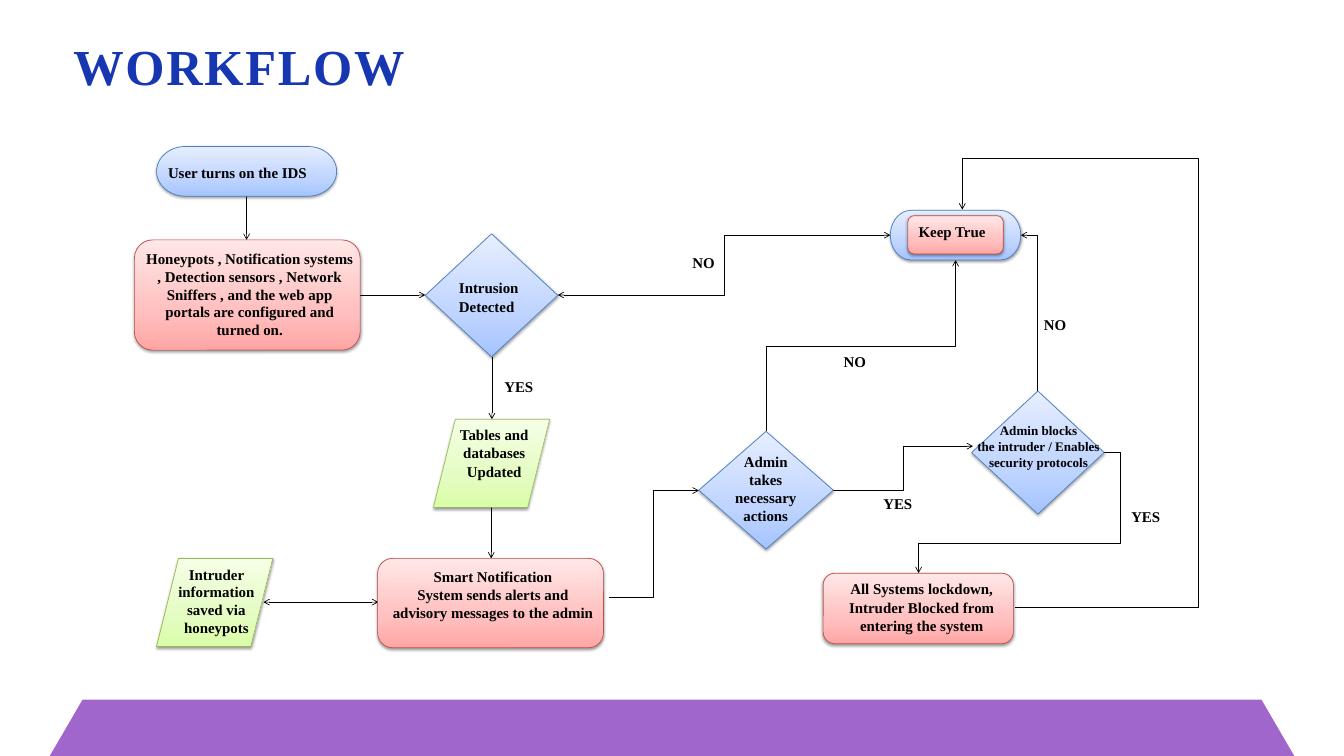
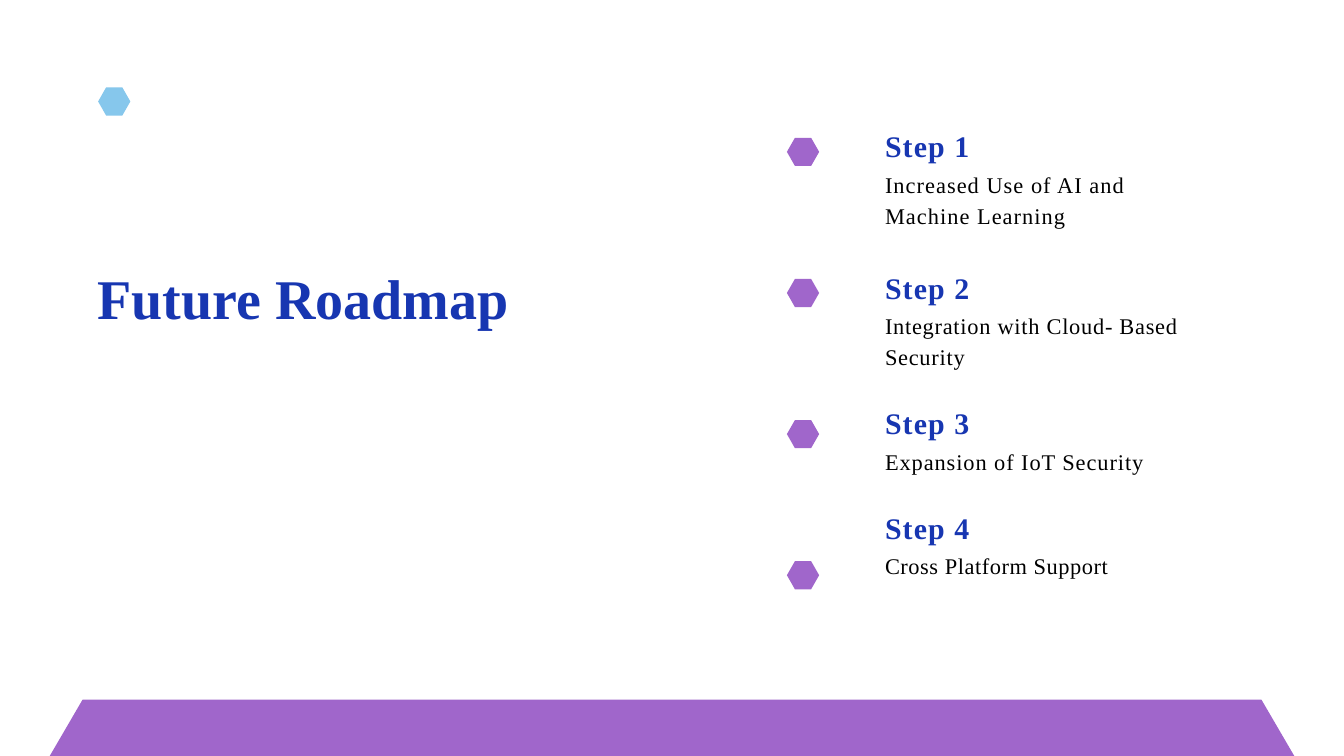
from copy import deepcopy

from lxml import etree
from pptx import Presentation
from pptx.dml.color import RGBColor
from pptx.enum.shapes import MSO_CONNECTOR, MSO_SHAPE
from pptx.enum.text import MSO_ANCHOR, MSO_AUTO_SIZE, PP_ALIGN
from pptx.oxml.ns import qn
from pptx.util import Inches, Pt

TERMINATOR = MSO_SHAPE.FLOWCHART_TERMINATOR
ROUNDED = MSO_SHAPE.ROUNDED_RECTANGLE
DIAMOND = MSO_SHAPE.DIAMOND
PARALLELOGRAM = MSO_SHAPE.PARALLELOGRAM
CENTER, JUSTIFY, LEFT = PP_ALIGN.CENTER, PP_ALIGN.JUSTIFY, PP_ALIGN.LEFT

FONT = "Times New Roman"
BLUE, PURPLE, SKY, BLACK = "1736B1", "A066CB", "86C7EC", "000000"
rgb = RGBColor.from_string


def add_run(paragraph, text, size, color=BLACK, bold=True, spacing=0):
    run = paragraph.add_run()
    run.text = text
    run.font.name = FONT
    run.font.size = Pt(size)
    run.font.bold = bold
    run.font.color.rgb = rgb(color)
    if spacing:
        run.font._element.set("spc", str(round(spacing * 100)))


def add_outline(slide, points, color):
    corners = [(Inches(x), Inches(y)) for x, y in points]
    builder = slide.shapes.build_freeform(*corners[0])
    builder.add_line_segments(corners[1:], close=True)
    shape = builder.convert_to_shape()
    shape.shadow.inherit = False
    shape.fill.solid()
    shape.fill.fore_color.rgb = rgb(color)
    shape.line.fill.background()


presentation = Presentation()
presentation.slide_width = Inches(20)
presentation.slide_height = Inches(11.25)

# Title and bottom band on both slides
TITLES = [
    ("WORKFLOW", (1.09, 0.38, 6.54, 0.98), 54, 1.9, 1.16),
    ("Future Roadmap", (1.45, 3.92, 7.19, 1.02), 60, 0, 1),
]
BAND = [(19.26, 11.25), (0.74, 11.25), (1.23, 10.41), (18.77, 10.41)]

for text, box, size, spacing, line_spacing in TITLES:
    slide = presentation.slides.add_slide(presentation.slide_layouts[5])
    title = slide.shapes.title
    title.left, title.top, title.width, title.height = map(Inches, box)
    frame = title.text_frame
    frame.margin_left = frame.margin_right = frame.margin_top = frame.margin_bottom = 0
    frame.vertical_anchor = MSO_ANCHOR.TOP
    frame.auto_size = MSO_AUTO_SIZE.NONE
    frame.word_wrap = True
    paragraph = frame.paragraphs[0]
    paragraph.alignment = LEFT
    paragraph.line_spacing = line_spacing
    add_run(paragraph, text, size, BLUE, spacing=spacing)
    add_outline(slide, BAND, PURPLE)

workflow, roadmap = presentation.slides

# Workflow: connectors as start, end, quarter turns, bends, arrow at both ends
CONNECTORS = [
    ((3.67, 2.92), (3.67, 3.57), 0, None, False),
    ((5.36, 4.39), (6.33, 4.39), 0, None, False),
    ((7.32, 5.31), (7.32, 6.24), 0, None, False),
    ((7.31, 7.55), (7.31, 8.31), 0, None, False),
    ((3.92, 8.96), (5.63, 8.96), 0, None, True),
    ((8.3, 4.39), (13.25, 3.5), 0, [0.5], True),
    ((9.06, 8.89), (10.4, 7.3), 0, [0.5], False),
    ((12.4, 7.3), (14.48, 6.64), 0, [0.5], False),
    ((11.4, 6.43), (14.22, 3.87), 3, [0.5], False),
    ((15.44, 5.82), (15.19, 3.5), 3, [], False),
    ((16.43, 6.73), (13.67, 8.53), 0, [-0.09, 0.75], False),
    ((15.1, 9.04), (14.32, 3.12), 0, [-3.51, 1.13], False),
]
for start, end, turns, bends, both_ends in CONNECTORS:
    # Turn the end points back about their centre, then rotate the frame
    center_x, center_y = (start[0] + end[0]) / 2, (start[1] + end[1]) / 2
    corners = []
    for x, y in (start, end):
        x, y = x - center_x, y - center_y
        for _ in range(turns):
            x, y = y, -x
        corners += [Inches(center_x + x), Inches(center_y + y)]
    kind = MSO_CONNECTOR.STRAIGHT if bends is None else MSO_CONNECTOR.ELBOW
    connector = workflow.shapes.add_connector(kind, *corners)
    connector.line.color.rgb = rgb(BLACK)
    connector.line.width = Pt(0.75)
    properties = connector._element.spPr
    if turns:
        properties.find(qn("a:xfrm")).set("rot", str(turns * 5400000))
    if bends is not None:
        geometry = properties.find(qn("a:prstGeom"))
        geometry.set("prst", f"bentConnector{len(bends) + 2}")
        adjustments = geometry.find(qn("a:avLst"))
        for number, bend in enumerate(bends, 1):
            etree.SubElement(adjustments, qn("a:gd"), name=f"adj{number}",
                             fmla=f"val {round(bend * 100000)}")
    line = properties.find(qn("a:ln"))
    if both_ends:
        etree.SubElement(line, qn("a:headEnd"), type="arrow")
    etree.SubElement(line, qn("a:tailEnd"), type="arrow")
    etree.SubElement(properties, qn("a:effectLst"))

# Workflow: nodes, each shape kind with its gradient from bottom to top
BLUE_NODE = ("A4C4FF", "BFD4FF", "E6EEFF", "4B7EBC")
RED_NODE = ("FFA6A5", "FFC0BF", "FFE7E7", "BF4C48")
GREEN_NODE = ("DAFDA7", "E4FCC2", "F5FFE7", "98B955")
NODE_COLORS = {TERMINATOR: BLUE_NODE, DIAMOND: BLUE_NODE,
               ROUNDED: RED_NODE, PARALLELOGRAM: GREEN_NODE}
NODES = [
    (TERMINATOR, (2.33, 2.18, 2.68, 0.74)),
    (ROUNDED, (2, 3.57, 3.36, 1.64)),
    (DIAMOND, (6.33, 3.48, 1.97, 1.83)),
    (PARALLELOGRAM, (6.45, 6.24, 1.73, 1.31)),
    (ROUNDED, (5.62, 8.31, 3.36, 1.33)),
    (DIAMOND, (10.4, 6.42, 2, 1.75)),
    (DIAMOND, (14.46, 5.82, 1.97, 1.83)),
    (ROUNDED, (12.25, 8.53, 2.83, 1.05)),
    (TERMINATOR, (13.25, 3.13, 1.94, 0.74)),
    (ROUNDED, (13.51, 3.21, 1.42, 0.57)),
    (PARALLELOGRAM, (2.33, 8.31, 1.73, 1.31)),
]
for kind, box in NODES:
    shape = workflow.shapes.add_shape(kind, *map(Inches, box))
    *gradient, border = NODE_COLORS[kind]
    shape.fill.gradient()
    shape.fill.gradient_angle = 90
    stop_list = shape._element.spPr.find(".//" + qn("a:gsLst"))
    stop_list.append(deepcopy(stop_list[0]))
    for stop, position, color in zip(shape.fill.gradient_stops, (0, 0.35, 1), gradient):
        stop.position = position
        stop.color.rgb = rgb(color)
    shape.line.color.rgb = rgb(border)
    shape.line.width = Pt(0.75)
    shape.shadow.inherit = False
    effects = shape._element.spPr.find(qn("a:effectLst"))
    shadow = etree.SubElement(effects, qn("a:outerShdw"), blurRad="40000",
                              dist="20000", dir="5400000", rotWithShape="0")
    shadow_color = etree.SubElement(shadow, qn("a:srgbClr"), val=BLACK)
    etree.SubElement(shadow_color, qn("a:alpha"), val="38000")

# Workflow: node texts and branch labels
TEXTS = [
    ((2.5, 2.43, 2.35, 0.28), 16, JUSTIFY, ["User turns on the IDS"]),
    ((2.17, 3.71, 3.09, 1.36), 16, CENTER,
     ["Honeypots , Notification systems , Detection sensors , Network Sniffers , "
      "and the web app portals are configured and turned on."]),
    ((6.83, 4.15, 1.09, 0.57), 16, JUSTIFY, ["Intrusion", "Detected"]),
    ((6.81, 6.34, 1.09, 0.84), 16, CENTER, ["Tables and databases", "Updated"]),
    ((5.79, 8.44, 3.09, 0.84), 16, CENTER,
     ["Smart Notification", "System sends alerts and advisory messages to the admin"]),
    ((10.84, 6.74, 1.11, 1.09), 16, CENTER, ["Admin takes necessary actions"]),
    ((14.48, 6.28, 1.95, 0.73), 14, CENTER,
     ["Admin blocks", "the intruder / Enables security protocols"]),
    ((12.17, 8.62, 3.09, 0.85), 16, CENTER,
     ["All Systems lockdown,", "Intruder Blocked from", "entering the system"]),
    ((13.67, 3.31, 1.22, 0.28), 16, JUSTIFY, ["Keep True"]),
    ((2.58, 8.41, 1.28, 1.09), 16, CENTER,
     ["Intruder information saved via honeypots"]),
]
BRANCHES = [
    ("NO", 10.17, 3.78), ("YES", 7.42, 5.62), ("NO", 12.42, 5.25),
    ("NO", 15.4, 4.69), ("YES", 13.06, 7.36), ("YES", 16.75, 7.55),
]
TEXTS += [((x, y, 0.6, 0.28), 16, CENTER, [answer]) for answer, x, y in BRANCHES]

for box, size, alignment, lines in TEXTS:
    frame = workflow.shapes.add_textbox(*map(Inches, box)).text_frame
    frame.margin_left = frame.margin_right = frame.margin_top = frame.margin_bottom = 0
    frame.word_wrap = True
    for index, text in enumerate(lines):
        paragraph = frame.add_paragraph() if index else frame.paragraphs[0]
        paragraph.alignment = alignment
        if index:
            paragraph.space_before = Pt(1)
        add_run(paragraph, text, size)

# Roadmap: plain emblem and step markers
HEXAGON = [(0.12, 0), (0.36, 0), (0.48, 0.21), (0.36, 0.42), (0.12, 0.42), (0, 0.21)]
add_outline(roadmap, [(1.46 + x, 1.3 + y) for x, y in HEXAGON], SKY)
for index in range(4):
    top = 2.05 + 2.1 * index
    add_outline(roadmap, [(11.71 + x, top + y) for x, y in HEXAGON], PURPLE)

# Roadmap: steps, the first in a narrower box
STEP_BOXES = [
    ((13.17, 1.73, 3.86, 1.66),
     [("Step 1", "Increased Use of AI and Machine Learning", 1.1)]),
    ((13.17, 3.84, 5.56, 4.87),
     [("Step 2", "Integration with Cloud- Based Security", 0.8),
      ("Step 3", "Expansion of IoT Security", 1),
      ("Step 4", "Cross Platform Support", 0.6)]),
]
for box, steps in STEP_BOXES:
    frame = roadmap.shapes.add_textbox(*map(Inches, box)).text_frame
    frame.margin_left = frame.margin_right = frame.margin_bottom = 0
    frame.margin_top = Inches(0.17)
    frame.word_wrap = True
    for index, (heading, description, spacing) in enumerate(steps):
        paragraph = frame.add_paragraph() if index else frame.paragraphs[0]
        if index:
            paragraph.space_before = Pt(37)
        add_run(paragraph, heading, 32, BLUE, spacing=1.2)
        paragraph = frame.add_paragraph()
        paragraph.line_spacing = 1.15
        paragraph.space_before = Pt(3.5)
        add_run(paragraph, description, 24, bold=False, spacing=spacing)

presentation.save("out.pptx")
